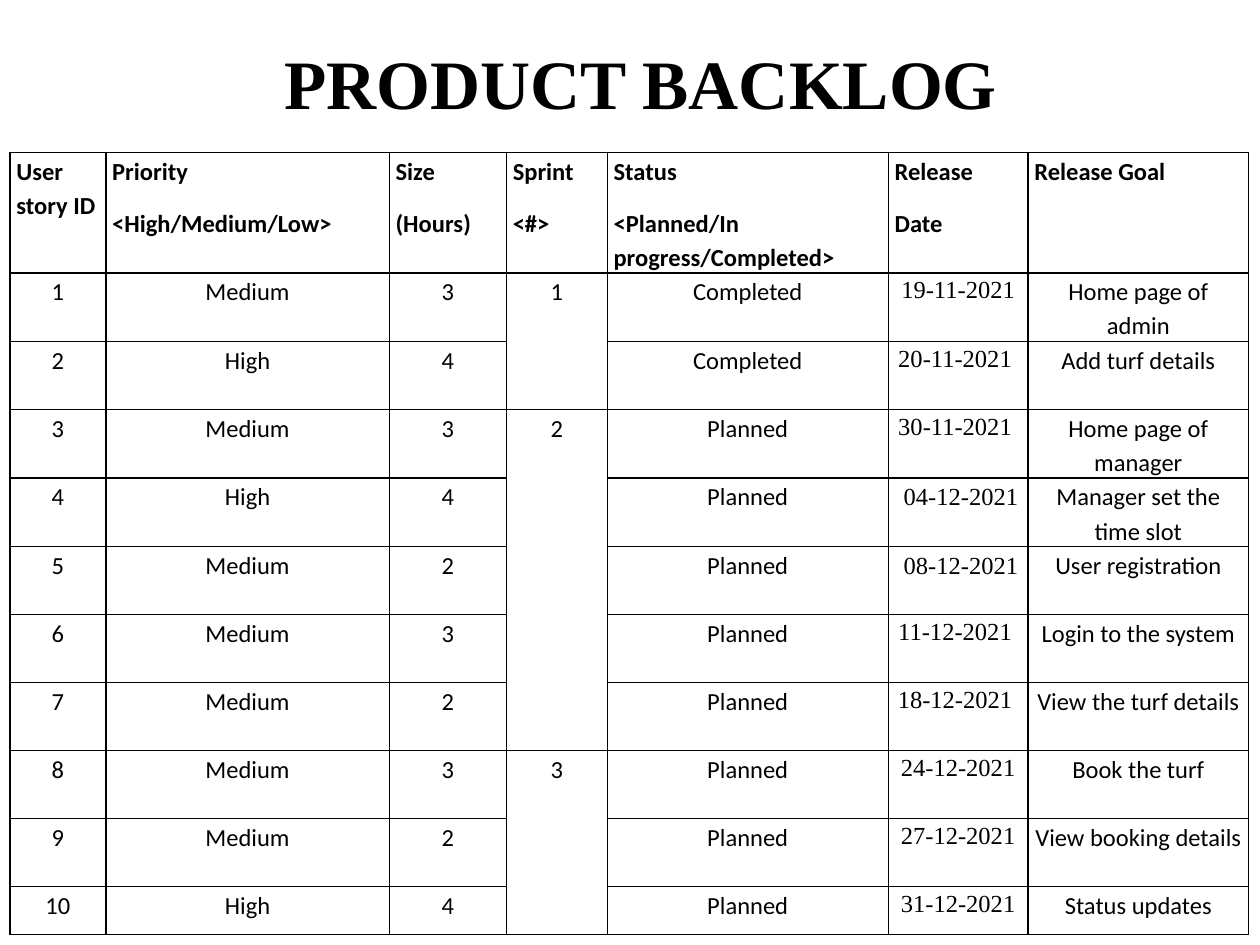
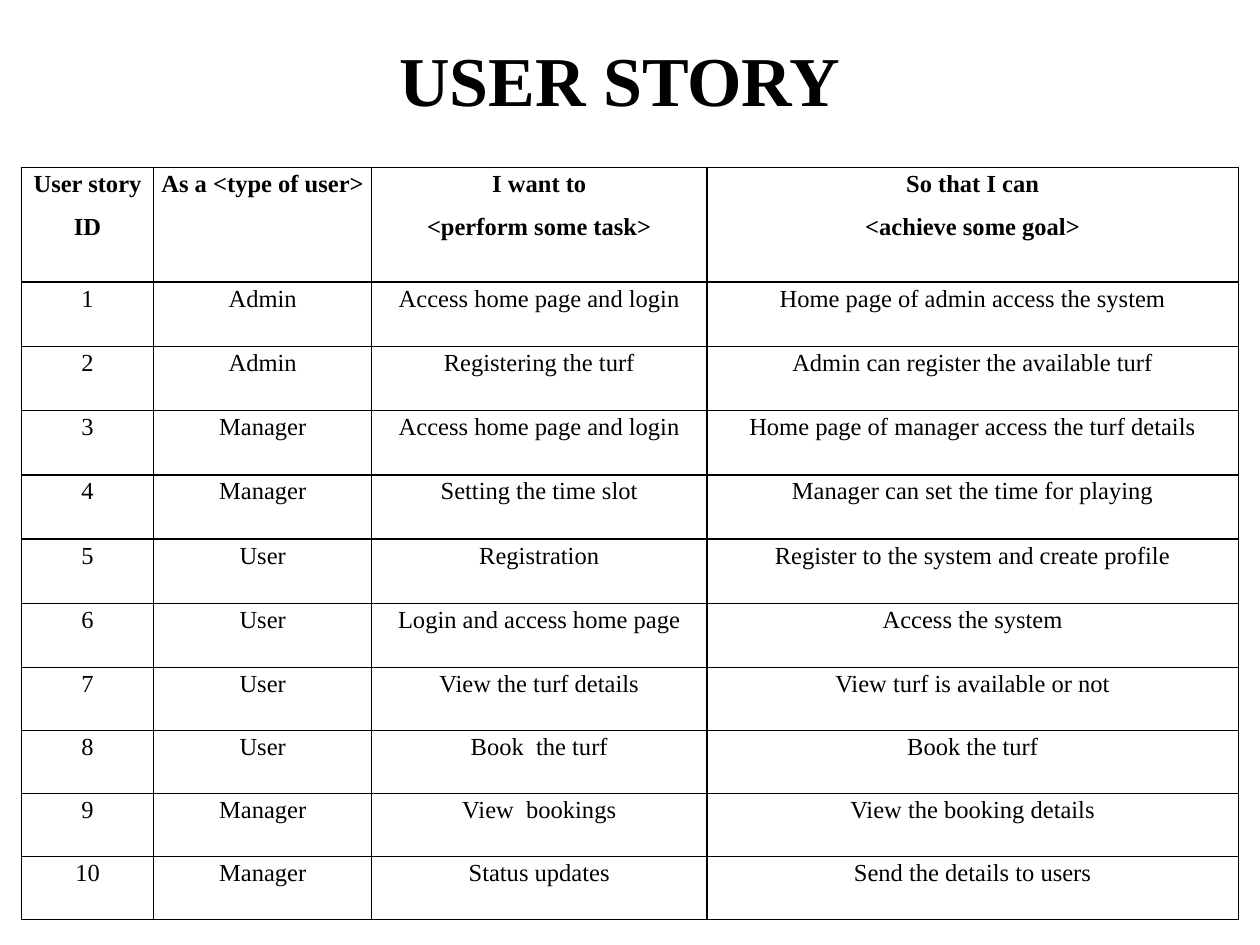
from lxml import etree
from pptx import Presentation
from pptx.dml.color import RGBColor
from pptx.enum import text
from pptx.oxml import ns
from pptx.util import Inches, Pt

BLACK = RGBColor(0, 0, 0)
SERIF, SANS = "Times New Roman", "Calibri"
CELL_SIZE, BORDER = Pt(14), Pt(1)
CENTER, LEFT = text.PP_ALIGN.CENTER, text.PP_ALIGN.LEFT
NBSP = "\u00a0"


def add_run(paragraph, words, font, size, bold):
    run = paragraph.add_run()
    run.text = words
    run.font.name, run.font.size, run.font.bold = font, size, bold
    run.font.color.rgb = BLACK


def add_title(slide, box, words, size):
    title = slide.shapes.title
    title.left, title.top, title.width, title.height = map(Inches, box)
    frame = title.text_frame
    frame.vertical_anchor = text.MSO_ANCHOR.MIDDLE
    frame.paragraphs[0].alignment = CENTER
    add_run(frame.paragraphs[0], words, SERIF, size, True)


def style_cell(cell, insets):
    """Give a cell its insets, a black outline and no fill."""
    cell.margin_left, cell.margin_top, cell.margin_right, cell.margin_bottom = map(Inches, insets)
    cell.fill.background()
    properties = cell._tc.get_or_add_tcPr()
    for place, side in enumerate(("lnL", "lnR", "lnT", "lnB")):
        line = etree.Element(ns.qn(f"a:{side}"), w=str(int(BORDER)))
        fill = etree.SubElement(line, ns.qn("a:solidFill"))
        etree.SubElement(fill, ns.qn("a:srgbClr"), val=str(BLACK))
        properties.insert(place, line)


def fill_cell(cell, lines, look, font, align, bold):
    """Each line is a paragraph; a tuple line holds (words, font) runs."""
    frame = cell.text_frame
    for index, line in enumerate(lines):
        paragraph = frame.add_paragraph() if index else frame.paragraphs[0]
        paragraph.alignment = align
        paragraph.line_spacing = look["spacing"]
        paragraph.space_after = look["after"]
        runs = line if isinstance(line, tuple) else ((line, font),)
        for words, run_font in runs:
            add_run(paragraph, words, run_font, CELL_SIZE, bold)


def add_grid(slide, box, widths, heights, header, rows, look, merges=()):
    frame = slide.shapes.add_table(len(heights), len(widths), *map(Inches, box))
    table = frame.table
    table.first_row = table.horz_banding = False
    for column, width in zip(table.columns, widths):
        column.width = Inches(width)
    for row, height in zip(table.rows, heights):
        row.height = Inches(height)
    for cell in table.iter_cells():
        style_cell(cell, look["insets"])
    # Header row
    for column, lines in enumerate(header):
        fill_cell(table.cell(0, column), lines, look, look["header_font"],
                  look["header_align"], True)
    # Body rows; None marks a cell covered by the one above
    for number, row in enumerate(rows, 1):
        for column, (words, font) in enumerate(zip(row, look["fonts"])):
            if words is not None:
                fill_cell(table.cell(number, column), [words], look, font, CENTER, False)
    for column, first, last in merges:
        table.cell(first, column).merge(table.cell(last, column))


def product_backlog(slide):
    add_title(slide, (0.67, 0.3, 8.83, 0.7), "PRODUCT BACKLOG", Pt(39.6))
    header = [["User story ID"], ["Priority", "<High/Medium/Low>"], ["Size", "(Hours)"],
              ["Sprint", "<#>"], ["Status", "<Planned/In progress/Completed>"],
              ["Release", "Date"], ["Release Goal"]]
    # Priority, hours, release date, release goal
    stories = [
        ("Medium", 3, "19-11-2021", "Home page of admin"),
        ("High", 4, "20-11-2021" + NBSP, "Add turf details"),
        ("Medium", 3, "30-11-2021" + NBSP, "Home page of manager"),
        ("High", 4, ((NBSP, SANS), ("04-12-2021", SERIF)), "Manager set the time slot"),
        ("Medium", 2, ((NBSP, SANS), ("08-12-2021", SERIF)), "User registration"),
        ("Medium", 3, "11-12-2021" + NBSP, "Login to the system"),
        ("Medium", 2, "18-12-2021" + NBSP, "View the turf details"),
        ("Medium", 3, NBSP + "24-12-2021" + NBSP, "Book the turf"),
        ("Medium", 2, NBSP + "27-12-2021" + NBSP, "View booking details"),
        ("High", 4, NBSP + "31-12-2021" + NBSP, "Status updates"),
    ]
    sprints = [(1, 2), (3, 7), (8, 10)]  # first and last story of each sprint
    sprint_at = {first: str(sprint) for sprint, (first, _) in enumerate(sprints, 1)}
    rows = [(str(story), priority, str(hours), sprint_at.get(story),
             "Completed" if story <= 2 else "Planned", date, goal)
            for story, (priority, hours, date, goal) in enumerate(stories, 1)]
    look = {"insets": (0.05, 0, 0.05, 0), "spacing": 1.15, "after": Pt(10),
            "header_font": SANS, "header_align": LEFT,
            "fonts": [SANS] * 5 + [SERIF, SANS]}
    add_grid(slide, (0.08, 1.21, 9.83, 6.19), [0.76, 2.25, 0.93, 0.8, 2.23, 1.11, 1.75],
             [0.95] + [0.54] * 9 + [0.38], header, rows, look,
             [(3, first, last) for first, last in sprints])


def user_story(slide):
    add_title(slide, (0.42, 0, 9, 1.25), "USER STORY", Pt(40))
    header = [["User story", "ID"], ["As a <type of user>"],
              ["I want to", "<perform some task>"], ["So that I can", "<achieve some goal>"]]
    stories = [
        ("Admin", "Access home page and login", "Home page of admin access the system"),
        ("Admin", "Registering the turf", "Admin can register the available turf"),
        ("Manager", "Access home page and login", "Home page of manager access the turf details"),
        ("Manager", "Setting the time slot", "Manager can set the time for playing"),
        ("User", "Registration", "Register to the system and create profile"),
        ("User", "Login and access home page", "Access the system"),
        ("User", "View the turf details", "View turf is available or not"),
        ("User", "Book  the turf", "Book the turf"),
        ("Manager", "View  bookings", "View the booking details"),
        ("Manager", "Status updates", "Send the details to users"),
    ]
    rows = [(str(number), *story) for number, story in enumerate(stories, 1)]
    look = {"insets": (0.04, 0.01, 0.04, 0), "spacing": 1.07, "after": Pt(8),
            "header_font": SERIF, "header_align": CENTER, "fonts": [SERIF] * 4}
    add_grid(slide, (0.17, 1.33, 9.67, 6), [1.05, 1.73, 2.66, 4.22],
             [0.91] + [0.51] * 6 + [0.5] * 4, header, rows, look)


deck = Presentation()
deck.slide_width, deck.slide_height = Inches(10), Inches(7.5)
for build in (product_backlog, user_story):
    build(deck.slides.add_slide(deck.slide_layouts[5]))
deck.save("out.pptx")
